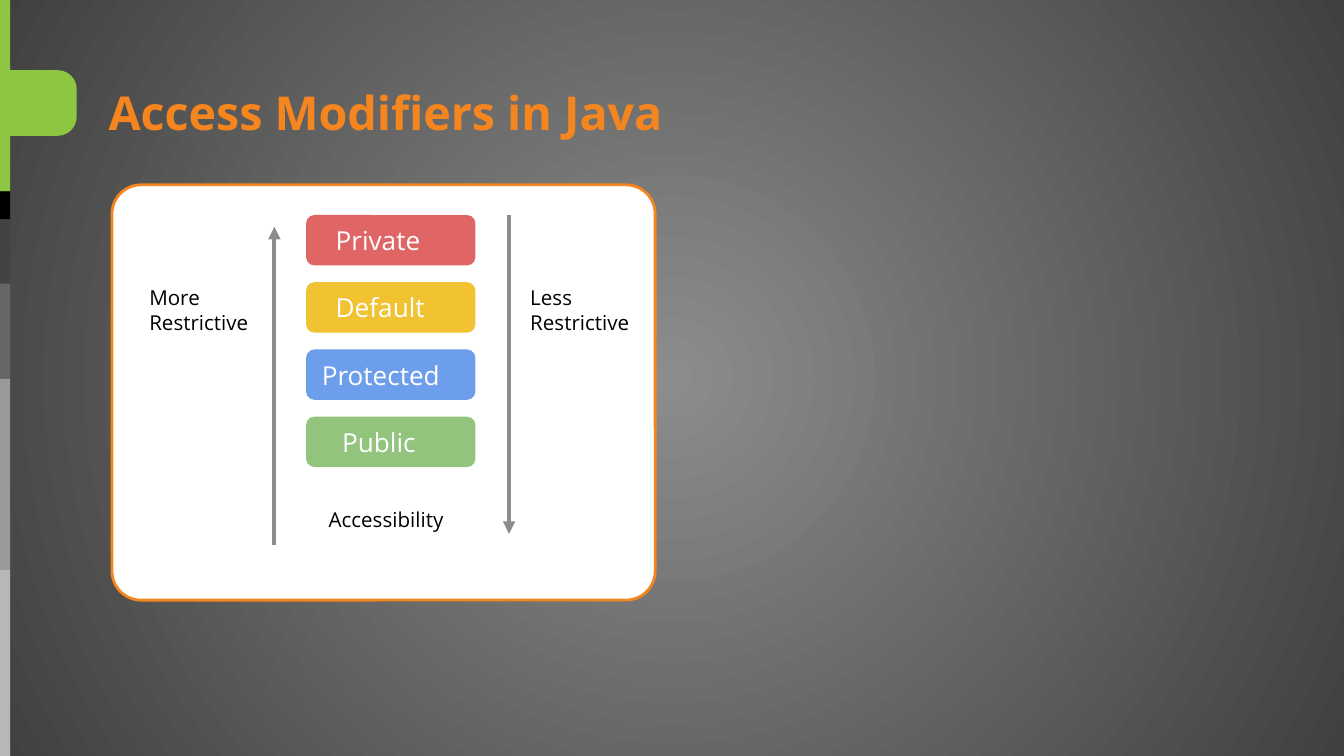
"""Build the slide on access modifiers in Java."""
import lxml.etree
import pptx
import pptx.dml.color
import pptx.enum.shapes
import pptx.enum.text
import pptx.oxml.ns
import pptx.util

Pt = pptx.util.Pt
RGB = pptx.dml.color.RGBColor
Form = pptx.enum.shapes.MSO_SHAPE
Anchor = pptx.enum.text.MSO_ANCHOR
Fit = pptx.enum.text.MSO_AUTO_SIZE
qn = pptx.oxml.ns.qn
add = lxml.etree.SubElement

WHITE = RGB(0xFF, 0xFF, 0xFF)
BLACK = RGB(0x00, 0x00, 0x00)
ORANGE = RGB(0xF5, 0x85, 0x1F)
LIME = RGB(0x8D, 0xC6, 0x40)
GRAY = RGB(0x8C, 0x8C, 0x8C)
DARK = RGB(0x40, 0x40, 0x40)
RED = RGB(0xE0, 0x66, 0x66)
YELLOW = RGB(0xF1, 0xC2, 0x32)
BLUE = RGB(0x6D, 0x9E, 0xEB)
GREEN = RGB(0x93, 0xC4, 0x7D)
BANDS = [
    (0, LIME), (76, LIME), (102.5, BLACK), (117.5, RGB(0x43, 0x43, 0x43)),
    (152, RGB(0x66, 0x66, 0x66)), (203, RGB(0x99, 0x99, 0x99)),
    (305.5, RGB(0xB7, 0xB7, 0xB7)),
]
LEVELS = [
    ("Private", RED, 14.5), ("Default", YELLOW, 14.5),
    ("Protected", BLUE, 7.2), ("Public", GREEN, 18),
]
LABELS = [
    ("More Restrictive", 72.9, 145.5, 41), ("Less Restrictive", 277, 145.5, 41),
    ("Accessibility", 169, 265, 28),
]
WIDE, HIGH = 720, 405


def write(frame, text, size=11, color=BLACK, bold=False, inset=7.2,
          anchor=Anchor.TOP, space=None, fit=Fit.NONE):
    frame.word_wrap = True
    frame.auto_size = fit
    frame.vertical_anchor = anchor
    frame.margin_left = Pt(inset)
    frame.margin_top = frame.margin_right = frame.margin_bottom = Pt(7.2)
    para = frame.paragraphs[0]
    para.text = text
    para.alignment = pptx.enum.text.PP_ALIGN.LEFT
    para.line_spacing = space
    font = para.runs[0].font
    font.name, font.size, font.bold = "Open Sans", Pt(size), bold
    font.color.rgb = color


class Deck:
    def __init__(self):
        self.show = pptx.Presentation()
        self.show.slide_width, self.show.slide_height = Pt(WIDE), Pt(HIGH)
        self.slide = self.show.slides.add_slide(self.show.slide_layouts[5])
        self.shapes = self.slide.shapes

    def glow(self, inner, outer):
        fill = self.slide.background.fill
        fill.gradient()
        for stop, color in zip(fill.gradient_stops, (inner, outer)):
            stop.color.rgb = color
        grad = self.slide.element.find(".//" + qn("a:gradFill"))
        grad.remove(grad.find(qn("a:lin")))
        ring = add(grad, qn("a:path"), path="circle")
        add(ring, qn("a:fillToRect"), dict.fromkeys("ltrb", "50000"))

    def title(self, text, *area):
        head = self.slide.shapes.title
        head.left, head.top, head.width, head.height = map(Pt, area)
        write(head.text_frame, text, size=25, color=ORANGE, bold=True,
              space=1.15, fit=Fit.SHAPE_TO_FIT_TEXT)

    def block(self, form, area, color, line=None, bends=(), turn=0):
        box = self.shapes.add_shape(form, *map(Pt, area))
        box.shadow.inherit = False
        box.rotation = turn
        for spot, bend in enumerate(bends):
            box.adjustments[spot] = bend
        box.fill.solid()
        box.fill.fore_color.rgb = color
        if line is None:
            box.line.fill.background()
        else:
            box.line.color.rgb = line
            box.line.width = Pt(1.5)
        return box

    def label(self, text, *area):
        box = self.shapes.add_textbox(*map(Pt, area))
        write(box.text_frame, text, fit=Fit.SHAPE_TO_FIT_TEXT)

    def arrow(self, x, top, end, tip):
        kind = pptx.enum.shapes.MSO_CONNECTOR.STRAIGHT
        line = self.shapes.add_connector(kind, Pt(x), Pt(top), Pt(x), Pt(end))
        line.line.color.rgb = GRAY
        line.line.width = Pt(2.25)
        props = line.element.spPr
        add(props.find(qn("a:ln")), qn(tip), type="triangle")
        add(props, qn("a:effectLst"))


def main():
    deck = Deck()
    deck.glow(GRAY, DARK)
    ends = [top for top, _ in BANDS[1:]] + [HIGH]
    for (top, color), end in zip(BANDS, ends):
        deck.block(Form.RECTANGLE, (0, top, 5.5, end - top), color)
    deck.block(Form.ROUND_2_SAME_RECTANGLE, (3, 34.7, 35.2, 41), LIME,
               bends=(0.29, 0), turn=90)
    deck.title("Access Modifiers in Java", 51, 33, 678, 45)

    deck.shapes = deck.slide.shapes.add_group_shape().shapes
    deck.block(Form.ROUNDED_RECTANGLE, (60, 99, 291, 222.5), WHITE,
               line=ORANGE, bends=(0.07,))
    for row, (name, color, inset) in enumerate(LEVELS):
        box = deck.block(Form.ROUNDED_RECTANGLE,
                         (164, 115.2 + 36 * row, 90.7, 27), color)
        write(box.text_frame, name, size=14, color=WHITE, inset=inset,
              anchor=Anchor.MIDDLE)
    deck.arrow(272.7, 115.2, 286, "a:tailEnd")
    deck.arrow(147, 121.5, 292, "a:headEnd")
    for text, left, top, high in LABELS:
        deck.label(text, left, top, 90.7, high)
    deck.show.save("out.pptx")


if __name__ == "__main__":
    main()
